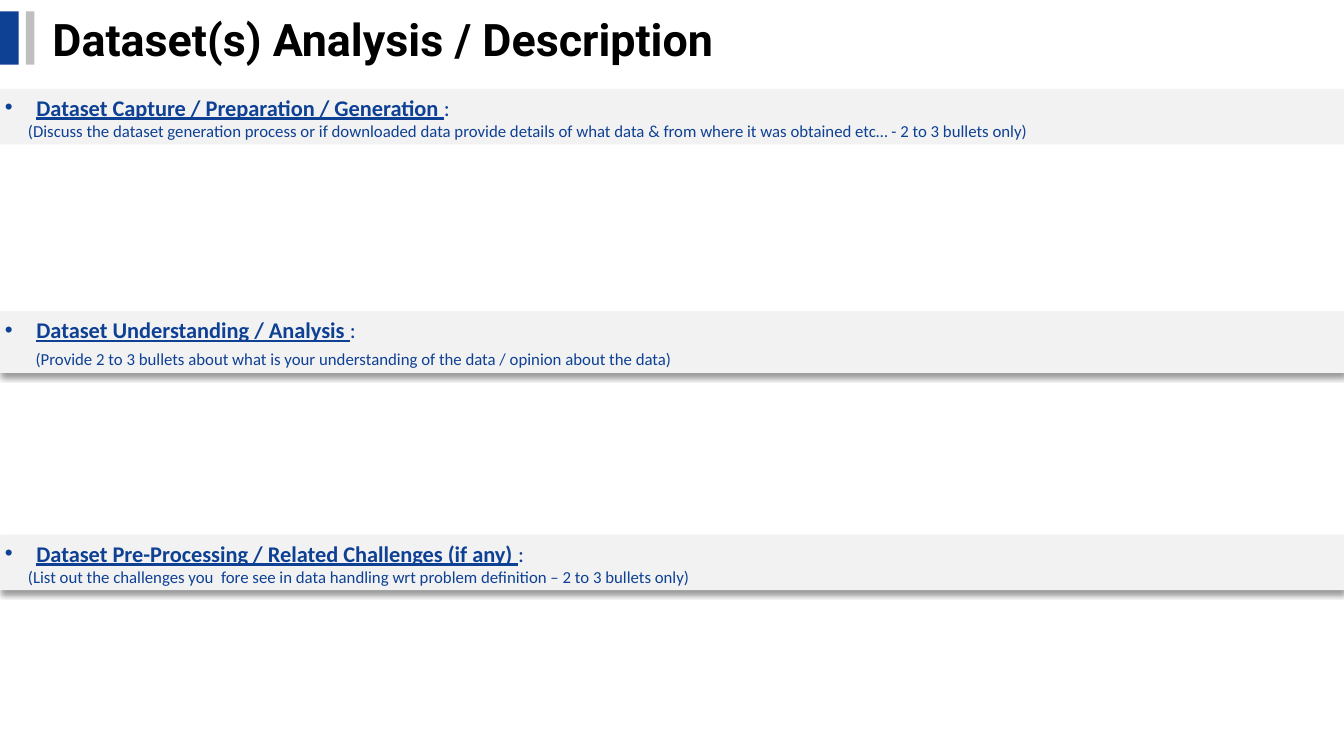
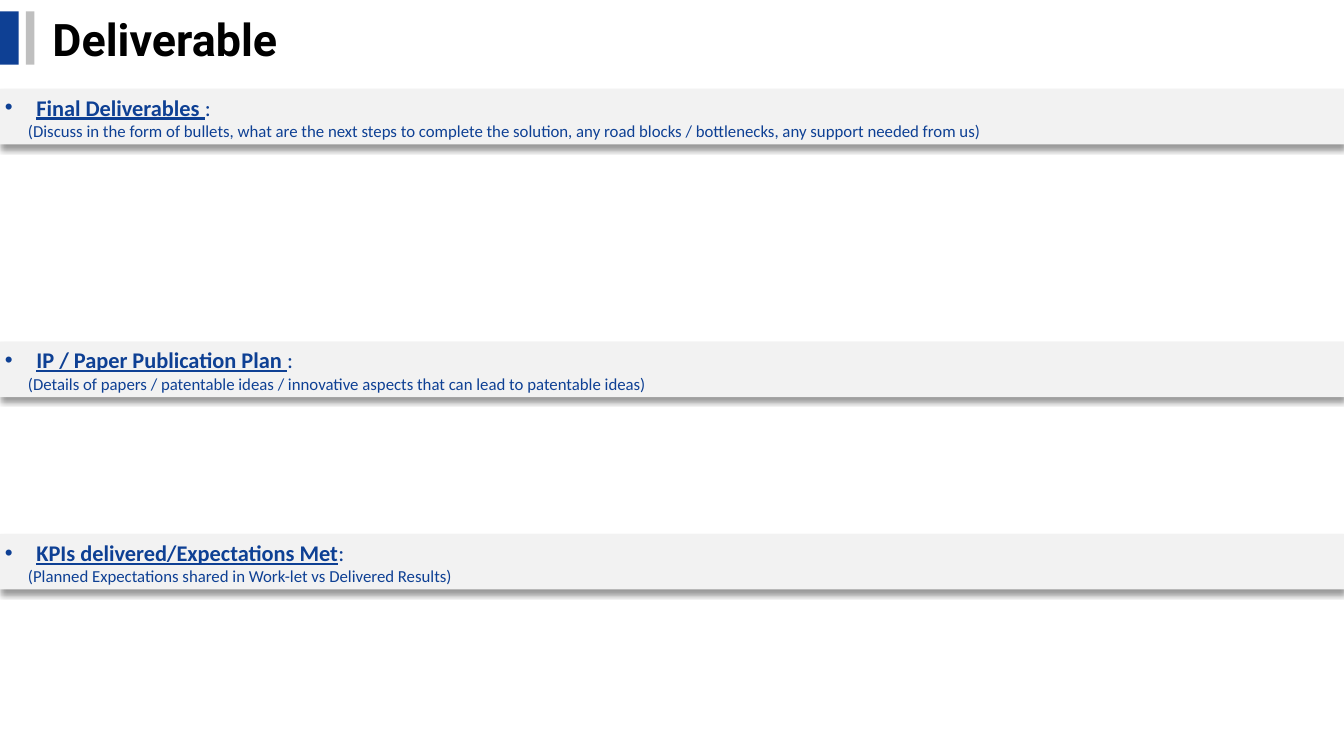
import lxml.etree
import pptx
import pptx.dml.color
import pptx.enum.shapes
import pptx.enum.text
import pptx.oxml
import pptx.oxml.ns
import pptx.util

Pt = pptx.util.Pt
ALIGN = pptx.enum.text.PP_ALIGN
ANCHOR = pptx.enum.text.MSO_ANCHOR
COLORS = {"blue": "0E4094", "gray": "BFBFBF", "band": "F2F2F2", "black": "000000"}
WIDTH, HEIGHT = 960, 540
BAND_HEIGHT = 39.6
HANGING = 22.5

SLIDES = [
    ("Dataset(s) Analysis / Description", [
        {"top": 63.5, "heading": "Dataset Capture / Preparation / Generation ",
         "hint": "(Discuss the dataset generation process or if downloaded data provide details "
                 "of what data & from where it was obtained etc… - 2 to 3 bullets only)",
         "shadow": False},
        {"top": 222.5, "heading": "Dataset Understanding / Analysis ",
         "hint": "(Provide 2 to 3 bullets about what is your understanding of the data / "
                 "opinion about the data)",
         "height": 44, "hint_indent": 22, "hint_gap": 4},
        {"top": 382, "heading": "Dataset Pre-Processing / Related Challenges (if any) ",
         "hint": "(List out the challenges you  fore see in data handling wrt problem "
                 "definition – 2 to 3 bullets only)"},
    ]),
    ("Deliverable", [
        {"top": 63.5, "heading": "Final Deliverables ",
         "hint": "(Discuss in the form of bullets, what are the next steps to complete the "
                 "solution, any road blocks / bottlenecks, any support needed from us)"},
        {"top": 244, "heading": "IP / Paper Publication Plan ",
         "hint": "(Details of papers / patentable ideas / innovative aspects that can lead to "
                 "patentable ideas)"},
        {"top": 381.5, "heading": "KPIs delivered/Expectations Met",
         "hint": "(Planned Expectations shared in Work-let vs Delivered Results)"},
    ]),
]


def color(name):
    return pptx.dml.color.RGBColor.from_string(COLORS[name])


def apply(target, values):
    for name, value in values.items():
        setattr(target, name, value)


class Deck:
    frame_format = {"word_wrap": True, "margin_left": Pt(3.5), "margin_right": Pt(3.5),
                    "margin_top": Pt(3.5), "margin_bottom": Pt(3.5)}
    title_font = {"name": "Roboto", "size": Pt(32), "bold": True}
    heading_font = {"name": "Calibri", "size": Pt(16), "bold": True, "underline": True}
    colon_font = {"name": "Calibri", "size": Pt(16), "bold": False}
    hint_font = {"name": "Calibri", "size": Pt(12), "bold": False}

    def __init__(self):
        self.presentation = pptx.Presentation()
        apply(self.presentation, {"slide_width": Pt(WIDTH), "slide_height": Pt(HEIGHT)})
        self.slide = None

    def add_slide(self, title):
        self.slide = self.presentation.slides.add_slide(self.presentation.slide_layouts[6])
        self.rectangle(0, 8.2, 13.4, 38, "blue")
        self.title(title)
        self.rectangle(18.6, 8.2, 6, 38, "gray")

    def rectangle(self, left, top, width, height, fill):
        shape = self.slide.shapes.add_shape(
            pptx.enum.shapes.MSO_SHAPE.RECTANGLE, Pt(left), Pt(top), Pt(width), Pt(height))
        shape.shadow.inherit = False
        shape.fill.solid()
        shape.fill.fore_color.rgb = color(fill)
        shape.line.fill.background()
        return shape

    def run(self, paragraph, text, font, font_color):
        run = paragraph.add_run()
        run.text = text
        apply(run.font, font)
        run.font.color.rgb = color(font_color)

    def title(self, text):
        shape = self.slide.shapes.add_textbox(Pt(34), Pt(4.5), Pt(733), Pt(45.5))
        apply(shape.text_frame, {**self.frame_format, "vertical_anchor": ANCHOR.MIDDLE})
        self.run(shape.text_frame.paragraphs[0], text, self.title_font, "black")

    def bullet(self, paragraph):
        properties = paragraph._p.get_or_add_pPr()
        apply_indent = {"marL": Pt(HANGING), "indent": -Pt(HANGING)}
        for name, value in apply_indent.items():
            properties.set(name, str(value))
        for tag, name, value in (("a:buFont", "typeface", "Arial"), ("a:buChar", "char", "•")):
            element = lxml.etree.SubElement(properties, pptx.oxml.ns.qn(tag))
            element.set(name, value)

    def drop_shadow(self, shape):
        effects = shape._element.spPr.find(pptx.oxml.ns.qn("a:effectLst"))
        effects.append(pptx.oxml.parse_xml(
            f'<a:outerShdw {pptx.oxml.ns.nsdecls("a")} blurRad="{Pt(4)}" dist="{Pt(3)}" '
            f'dir="5400000" algn="t" rotWithShape="0"><a:srgbClr val="{COLORS["black"]}">'
            '<a:alpha val="40000"/></a:srgbClr></a:outerShdw>'))

    def band(self, top, heading, hint, height=BAND_HEIGHT, hint_indent=16.5, hint_gap=0,
             shadow=True):
        shape = self.rectangle(0, top, WIDTH, height, "band")
        if shadow:
            self.drop_shadow(shape)
        frame = shape.text_frame
        apply(frame, {**self.frame_format, "vertical_anchor": ANCHOR.TOP})
        heading_paragraph = frame.paragraphs[0]
        heading_paragraph.alignment = ALIGN.JUSTIFY
        self.bullet(heading_paragraph)
        self.run(heading_paragraph, heading, self.heading_font, "blue")
        self.run(heading_paragraph, ":", self.colon_font, "blue")
        hint_paragraph = frame.add_paragraph()
        apply(hint_paragraph, {"alignment": ALIGN.JUSTIFY, "space_before": Pt(hint_gap)})
        hint_paragraph._p.get_or_add_pPr().set("marL", str(Pt(hint_indent)))
        self.run(hint_paragraph, hint, self.hint_font, "blue")


def main():
    deck = Deck()
    for title, bands in SLIDES:
        deck.add_slide(title)
        for band in bands:
            deck.band(**band)
    deck.presentation.save("out.pptx")


if __name__ == "__main__":
    main()
